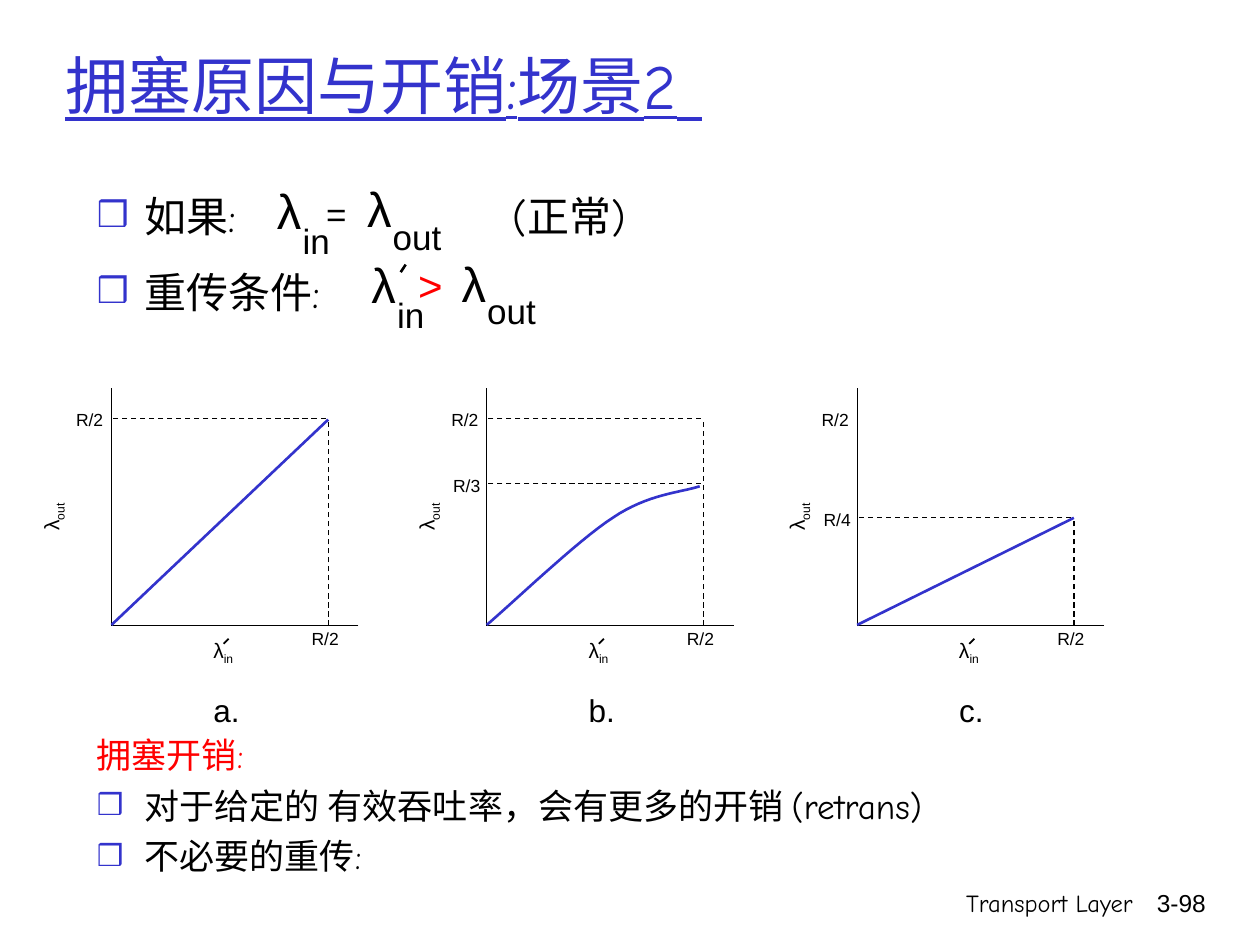
from dataclasses import dataclass
from typing import NamedTuple

from lxml.etree import SubElement
from pptx import Presentation
from pptx.dml.color import RGBColor
from pptx.enum.dml import MSO_LINE_DASH_STYLE as Dash
from pptx.enum.shapes import MSO_CONNECTOR as Conn
from pptx.enum.text import MSO_ANCHOR as Anchor, MSO_AUTO_SIZE as Auto, PP_ALIGN as Align
from pptx.oxml.ns import qn
from pptx.util import Inches, Pt

COLS, ROWS = 100, 75
BLACK, BLUE, RED = "000000", "3333CC", "FF0000"
SANS, COMIC = "Arial", "Comic Neue"

prs = Presentation()
prs.slide_width, prs.slide_height = Inches(10), Inches(7.5)
s = prs.slides.add_slide(prs.slide_layouts[6])


class Point(NamedTuple):
    col: float
    row: float


class Box(NamedTuple):
    col: float
    row: float
    cols: float
    rows: float


@dataclass
class Label:
    text: str
    box: Box
    size: float
    color: str = BLACK
    font: str = SANS
    align: Align = Align.LEFT
    sub: str = ""
    rotation: float = 0
    wrap: bool = False


@dataclass
class Item:
    text: str
    color: str = BLACK
    bullet: bool = True
    spacing: float = 1
    tab: float = 0


@dataclass
class Plot:
    name: str
    col: float
    top: float
    level: float
    level_label: str
    curve: list[Point]


def x(cols: float) -> int:
    return round(prs.slide_width * cols / COLS)


def y(rows: float) -> int:
    return round(prs.slide_height * rows / ROWS)


def rgb(color: str) -> RGBColor:
    return RGBColor.from_string(color)


def style(r, size: float, color: str, font: str) -> None:
    r.font.size, r.font.name = Pt(size), font
    r.font.color.rgb = rgb(color)


def add_box(box: Box):
    return s.shapes.add_textbox(x(box.col), y(box.row), x(box.cols), y(box.rows))


def add_label(label: Label):
    sp = add_box(label.box)
    sp.rotation = label.rotation
    tf = sp.text_frame
    tf.word_wrap = label.wrap
    tf.auto_size = Auto.NONE if label.wrap else Auto.SHAPE_TO_FIT_TEXT
    p = tf.paragraphs[0]
    p.text, p.alignment = label.text, label.align
    if label.sub:
        r = p.add_run()
        r.text = label.sub
        r.font._element.set("baseline", "-25000")
    for r in p.runs:
        style(r, label.size, label.color, label.font)
    return sp


def add_line(start: Point, end: Point, color: str = BLACK, width: float = 0.75,
             dashed: bool = False) -> None:
    c = s.shapes.add_connector(Conn.STRAIGHT, x(start.col), y(start.row), x(end.col), y(end.row))
    c.line.color.rgb, c.line.width = rgb(color), Pt(width)
    if dashed:
        c.line.dash_style = Dash.DASH
    SubElement(c._element.spPr, qn("a:effectLst"))


def add_items(box: Box, items: list[Item], size: float, before: float) -> None:
    tf = add_box(box).text_frame
    tf.word_wrap = True
    for i, item in enumerate(items):
        p = tf.add_paragraph() if i else tf.paragraphs[0]
        p.text = item.text
        pPr = p._p.get_or_add_pPr()
        pPr.set("marL", str(Inches(0.38)))
        pPr.set("indent", str(-Inches(0.38)))
        if item.bullet:
            SubElement(SubElement(pPr, qn("a:buClr")), qn("a:srgbClr"), val=BLUE)
            SubElement(pPr, qn("a:buSzPct"), val="85000")
            SubElement(pPr, qn("a:buFont"), typeface=SANS)
            SubElement(pPr, qn("a:buChar"), char="❒")
        if item.tab:
            tabs = SubElement(pPr, qn("a:tabLst"))
            SubElement(tabs, qn("a:tab"), pos=str(x(item.tab)), algn="l")
        p.line_spacing = item.spacing
        p.space_before = Pt(before if i else 0)
        for r in p.runs:
            style(r, size, item.color, COMIC)


def add_formula(col: float, row: float, sign: Label) -> None:
    for text, dx, dy, w, h, size in (("λ", 0, 0, 4.1, 5.7, 28), ("in", 1.95, 3.1, 4.5, 4.4, 20),
                                     ("λ", 7.15, -0.1, 4.1, 5.7, 28),
                                     ("out", 9.1, 2.8, 6.2, 4.4, 20)):
        add_label(Label(text, Box(col + dx, row + dy, w, h), size, align=Align.CENTER))
    add_label(sign)


def bezier(points: list[Point], steps: int = 16) -> list[Point]:
    weights = [((1 - t) ** 3, 3 * t * (1 - t) ** 2, 3 * t * t * (1 - t), t ** 3)
               for t in (i / steps for i in range(1, steps + 1))]
    return [Point(sum(w * p.col for w, p in zip(ws, points)),
                  sum(w * p.row for w, p in zip(ws, points))) for ws in weights]


def add_curve(points: list[Point]) -> None:
    path = [points[0]]
    for i in range(0, len(points) - 1, 3):
        path += bezier(points[i:i + 4])
    start, *rest = [(x(p.col), y(p.row)) for p in path]
    builder = s.shapes.build_freeform(*start)
    builder.add_line_segments(rest, close=False)
    sp = builder.convert_to_shape()
    sp.shadow.inherit = False
    sp.fill.background()
    sp.line.color.rgb, sp.line.width = rgb(BLUE), Pt(1.5)


def add_plot(plot: Plot) -> None:
    c, base, right = plot.col, 49.65, plot.col + 17.2
    add_line(Point(c, 30.8), Point(c, base))
    add_line(Point(c + 19.6, base), Point(c, base))
    for level in sorted({plot.top, plot.level}):
        add_line(Point(right - 0.2, level), Point(c, level), dashed=True)
    add_line(Point(right, base), Point(right, plot.top + 0.2), dashed=True)
    curve = [Point(c + p.col, p.row) for p in plot.curve]
    if len(curve) == 2:
        add_line(*curve, BLUE, 1.5)
    else:
        add_curve(curve)
    ticks = [("R/2", -3.8, 31.95), ("R/2", 14.9, 49.35)]
    if plot.level_label:
        ticks.append((plot.level_label, -3.65, plot.level - 1.2))
    for text, dx, row in ticks:
        add_label(Label(text, Box(c + dx, row, 4.5, 2.7), 10))
    add_label(Label("λ", Box(c + 7.1, 50.1, 3.6, 3.3), 12, sub="in"))
    add_line(Point(c + 8.9, 51.1), Point(c + 9.3, 50.7), width=1)
    add_label(Label("λ", Box(c - 6.9, 39.2, 4.5, 3.3), 12, sub="out", rotation=270, wrap=True))
    add_label(Label(plot.name, Box(c + 7.1, 54.35, 4.1, 4), 18))


add_label(Label("Transport Layer", Box(59.2, 70, 31.7, 5), 14, font=COMIC,
                align=Align.RIGHT, wrap=True))
add_label(Label("3-98", Box(89.3, 70, 7.4, 5), 14, align=Align.RIGHT, wrap=True))

title = add_label(Label("拥塞原因与开销:场景2", Box(4.2, 0, 85, 12.5), 36, BLUE, COMIC, wrap=True))
title.text_frame.vertical_anchor = Anchor.MIDDLE
p = title.text_frame.paragraphs[0]
r = p.add_run()
r.text = " "
style(r, 44, BLUE, COMIC)
for r in p.runs:
    r.font.underline = True

add_items(Box(6.7, 14.6, 91.1, 15.5),
          [Item("如果:\t(正常)", tab=33), Item("重传条件:", spacing=1.3)], 24, 6)
add_formula(20.9, 13.8, Label("=", Box(24.9, 14.8, 3.6, 4.4), 20, align=Align.CENTER))
add_formula(28.4, 19.7, Label(">", Box(32.2, 20.1, 3.9, 5), 24, RED, align=Align.CENTER))
add_line(Point(31.8, 21.6), Point(32.2, 21), width=1.5)

add_items(Box(6.7, 57.7, 89.1, 10.8),
          [Item("拥塞开销:", RED, bullet=False),
           Item("对于给定的 有效吞吐率，会有更多的开销 (retrans)"),
           Item("不必要的重传:")], 20, 5)

START = Point(0, 49.6)
BEND = [START, Point(1.7, 48.2), Point(7.2, 42.9), Point(10, 41.1),
        Point(12.8, 39.2), Point(15.4, 39.1), Point(16.9, 38.6)]
for plot in (Plot("a.", 8.85, 33.2, 33.2, "", [START, Point(17.2, 33.3)]),
             Plot("b.", 38.63, 33.2, 38.4, "R/3", BEND),
             Plot("c.", 68.03, 41.1, 41.1, "R/4", [START, Point(17.2, 41.1)])):
    add_plot(plot)

prs.save("out.pptx")
